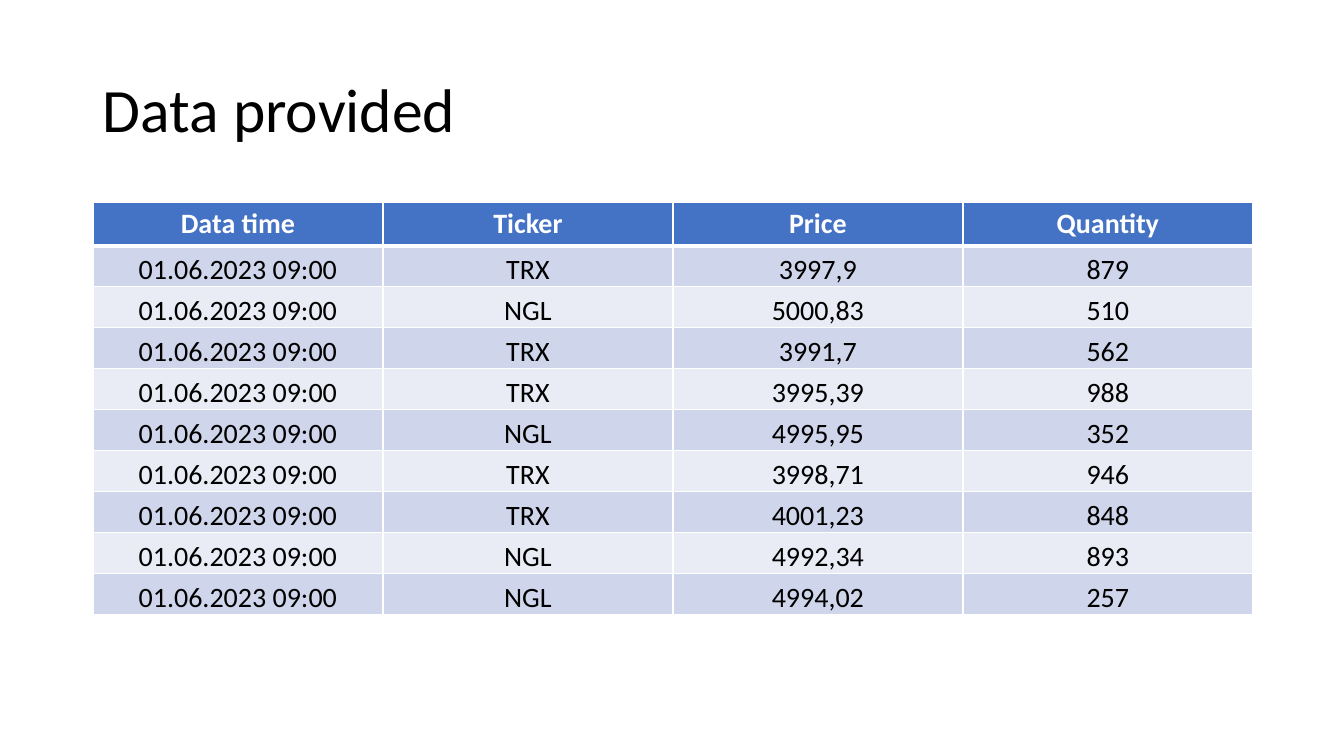
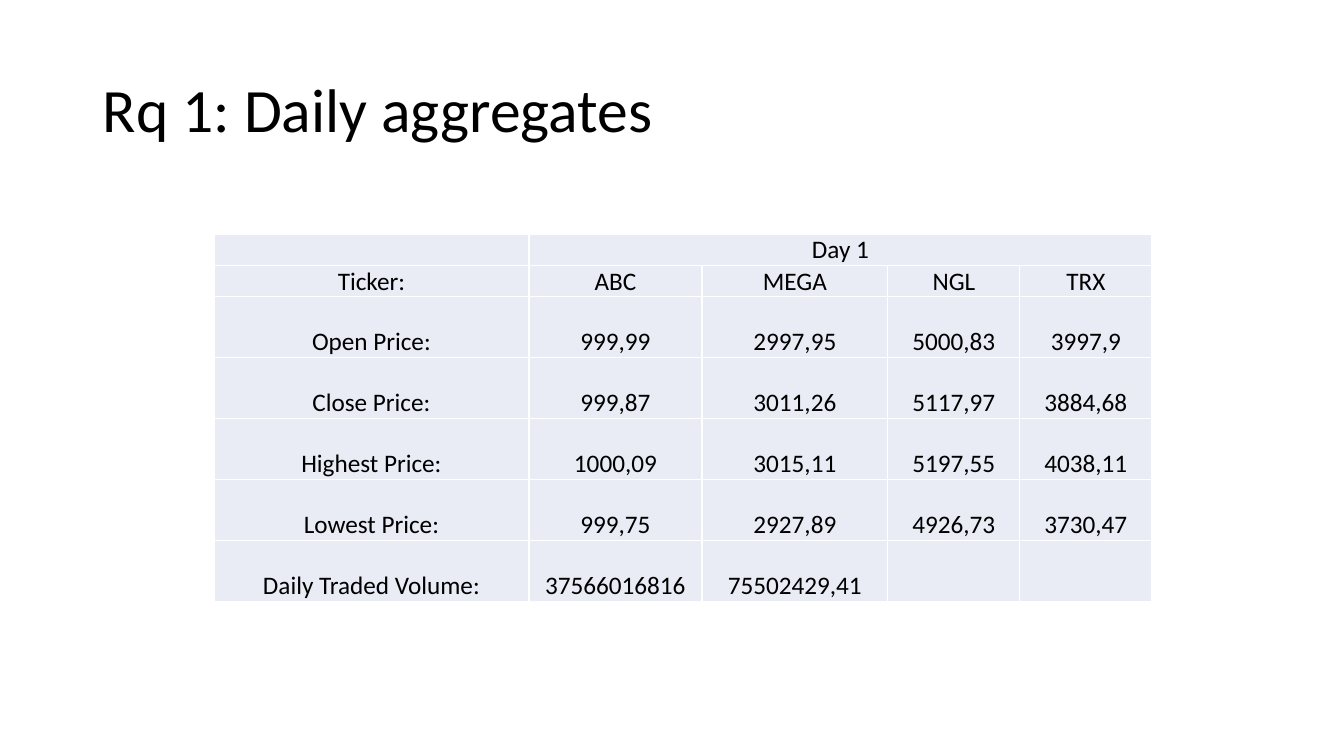
from lxml import etree
from pptx import Presentation
from pptx.dml.color import RGBColor
from pptx.enum.text import MSO_ANCHOR as ANCHOR, PP_ALIGN as ALIGN
from pptx.oxml.ns import qn
from pptx.util import Emu, Pt

# Shared style
FONT = "Calibri"
BLACK = RGBColor(0x00, 0x00, 0x00)
WHITE = RGBColor(0xFF, 0xFF, 0xFF)
BLUE = RGBColor(0x44, 0x72, 0xC4)
BAND_DARK = RGBColor(0xCF, 0xD5, 0xEA)
BAND_LIGHT = RGBColor(0xE9, 0xEB, 0xF5)
PX = 914400 / 100.8

prs = Presentation()
prs.slide_width, prs.slide_height = Emu(round(1344 * PX)), Emu(round(756 * PX))


def put_text(tf, text, size=20, color=BLACK, bold=False, align=ALIGN.CENTER):
    """Write one formatted paragraph into a text frame and return it."""
    p = tf.paragraphs[0]
    p.alignment = align
    if text:
        r = p.add_run()
        r.text = text
        r.font.name, r.font.size, r.font.bold = FONT, Pt(size), bold
        r.font.color.rgb = color
    return p


def set_borders(cell, top=1, bottom=1):
    """Draw white cell borders with widths in points."""
    tcPr = cell._tc.get_or_add_tcPr()
    for side, width in (("L", 1), ("R", 1), ("T", top), ("B", bottom)):
        ln = etree.SubElement(tcPr, qn(f"a:ln{side}"), w=str(Pt(width)))
        fill = etree.SubElement(ln, qn("a:solidFill"))
        etree.SubElement(fill, qn("a:srgbClr"), val=str(WHITE))


# Slide contents
TIME = "01.06.2023 09:00"
trades = [
    ("TRX", "3997,9", "879"),
    ("NGL", "5000,83", "510"),
    ("TRX", "3991,7", "562"),
    ("TRX", "3995,39", "988"),
    ("NGL", "4995,95", "352"),
    ("TRX", "3998,71", "946"),
    ("TRX", "4001,23", "848"),
    ("NGL", "4992,34", "893"),
    ("NGL", "4994,02", "257"),
]
aggregates = [
    ("", "Day 1", "", "", ""),
    ("Ticker:", "ABC", "MEGA", "NGL", "TRX"),
    ("Open Price:", "999,99", "2997,95", "5000,83", "3997,9"),
    ("Close Price:", "999,87", "3011,26", "5117,97", "3884,68"),
    ("Highest Price:", "1000,09", "3015,11", "5197,55", "4038,11"),
    ("Lowest Price:", "999,75", "2927,89", "4926,73", "3730,47"),
    ("Daily Traded Volume:", "37566016816", "75502429,41", "", ""),
]
slides = [
    dict(title="Data provided", left=93, top=202, size=20, header=True,
         cols=[290] * 4, heights=[41] * 10, bands=(BAND_LIGHT, BAND_DARK),
         rows=[("Data time", "Ticker", "Price", "Quantity")]
         + [(TIME, *trade) for trade in trades]),
    dict(title="Rq 1: Daily aggregates", left=214, top=234, size=18, header=False,
         cols=[315, 173, 186, 132, 132], heights=[31] * 2 + [61] * 5,
         bands=(BAND_LIGHT, BAND_LIGHT), rows=aggregates),
]

for d in slides:
    s = prs.slides.add_slide(prs.slide_layouts[6])

    # Title
    box = [Emu(round(v * PX)) for v in (93, 40, 1159, 146)]
    tf = s.shapes.add_textbox(*box).text_frame
    tf.word_wrap = True
    tf.vertical_anchor = ANCHOR.MIDDLE
    put_text(tf, d["title"], size=44, align=ALIGN.LEFT).line_spacing = 0.9

    # Table grid
    area = (d["left"], d["top"], sum(d["cols"]), sum(d["heights"]))
    box = [Emu(round(v * PX)) for v in area]
    table = s.shapes.add_table(len(d["rows"]), len(d["cols"]), *box).table
    table.first_row, table.horz_banding = d["header"], False
    for col, width in zip(table.columns, d["cols"]):
        col.width = Emu(round(width * PX))
    for row, height in zip(table.rows, d["heights"]):
        row.height = Emu(round(height * PX))

    # Table cells
    for i, values in enumerate(d["rows"]):
        is_header = d["header"] and i == 0
        for j, value in enumerate(values):
            cell = table.cell(i, j)
            set_borders(cell, top=3 if d["header"] and i == 1 else 1,
                        bottom=3 if is_header else 1)
            cell.fill.solid()
            cell.fill.fore_color.rgb = BLUE if is_header else d["bands"][i % 2]
            if not is_header:
                cell.vertical_anchor = ANCHOR.BOTTOM
                cell.margin_left = cell.margin_right = cell.margin_top = Emu(round(PX))
                cell.margin_bottom = 0
            put_text(cell.text_frame, value, size=d["size"], bold=is_header,
                     color=WHITE if is_header else BLACK)

    # "Day 1" spans all tickers
    if not d["header"]:
        table.cell(0, 1).merge(table.cell(0, 4))

prs.save("out.pptx")
